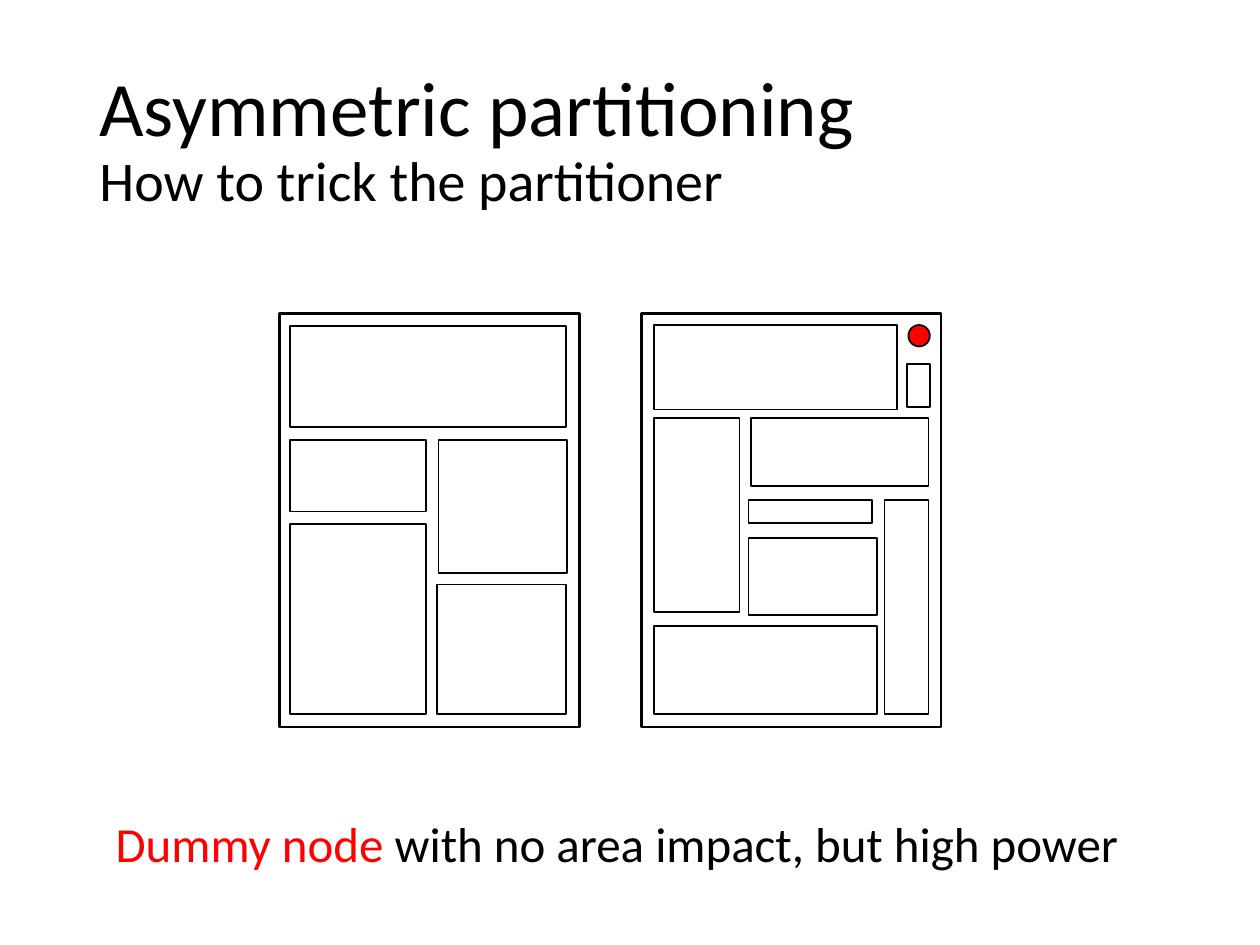
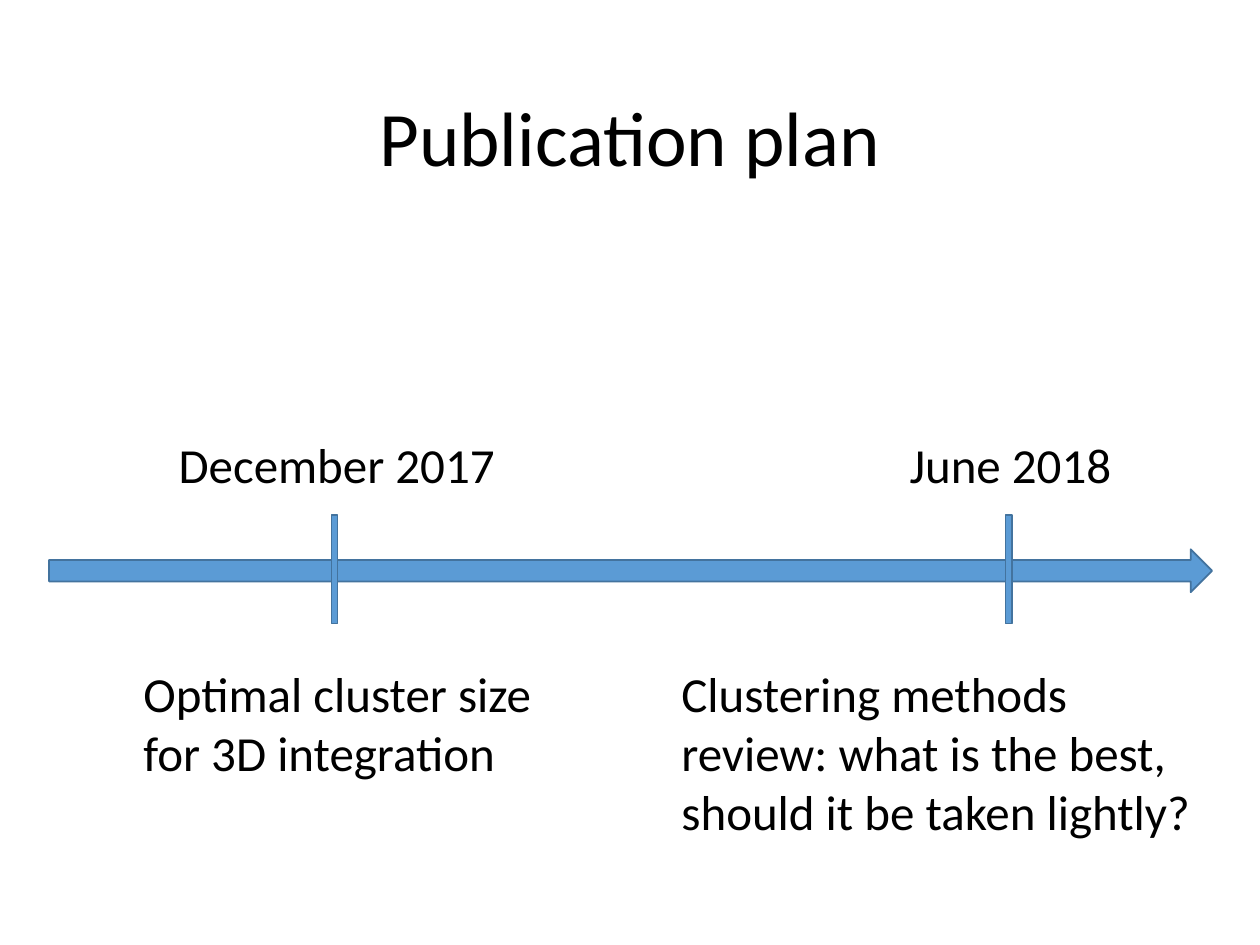
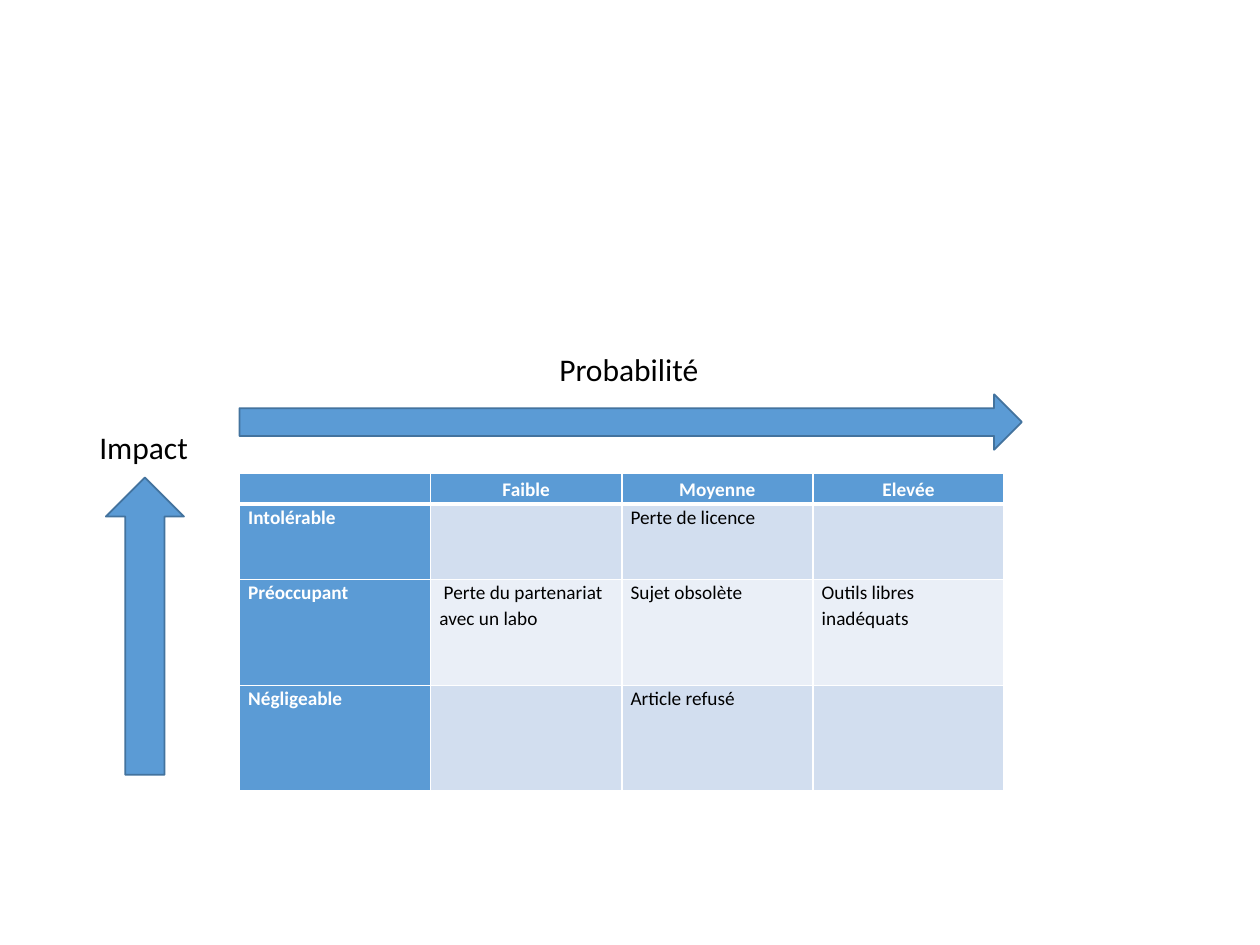
from lxml.etree import SubElement
from pptx import Presentation
from pptx.dml.color import RGBColor
from pptx.enum.shapes import MSO_SHAPE
from pptx.enum.text import MSO_ANCHOR, MSO_AUTO_SIZE, PP_ALIGN
from pptx.oxml.ns import qn
from pptx.util import Inches, Pt

FONT = "Calibri"
BLACK, WHITE, RED = "000000", "FFFFFF", "FF0000"
BLUE, BLUE_EDGE = "5B9BD5", "43739E"
BAND_DARK, BAND_LIGHT = "D2DEEF", "EAEFF7"


def color(value):
    return RGBColor.from_string(value)


def write_paragraph(paragraph, text, size=28, fill=BLACK, bold=False,
                    align=PP_ALIGN.LEFT, spacing=None):
    """Add text to a paragraph; a final newline becomes a line break."""
    paragraph.alignment = align
    if spacing:
        paragraph.line_spacing = spacing
    run = paragraph.add_run()
    run.text = text.rstrip("\n")
    run.font.name = FONT
    run.font.size = Pt(size)
    run.font.bold = bold
    run.font.color.rgb = color(fill)
    if text.endswith("\n"):
        paragraph.add_line_break()


class Deck:
    def __init__(self):
        self.presentation = Presentation()
        self.presentation.slide_width = Inches(10)
        self.presentation.slide_height = Inches(7.5)
        self.slide = None

    def new_slide(self):
        self.slide = self.presentation.slides.add_slide(self.presentation.slide_layouts[6])

    def text_frame(self, box, wrap=True):
        frame = self.slide.shapes.add_textbox(*map(Inches, box)).text_frame
        frame.word_wrap = wrap
        return frame

    def title(self, *parts, align=PP_ALIGN.LEFT):
        frame = self.text_frame((0.69, 0.4, 8.62, 1.45))
        frame.vertical_anchor = MSO_ANCHOR.MIDDLE
        for text, size in parts:
            write_paragraph(frame.paragraphs[0], text, size=size, align=align, spacing=0.9)

    def label(self, box, *lines, wrap=False, **style):
        """Each line is a list of (text, colour) parts, or a plain string."""
        frame = self.text_frame(box, wrap)
        frame.auto_size = MSO_AUTO_SIZE.SHAPE_TO_FIT_TEXT
        for index, line in enumerate(lines):
            paragraph = frame.add_paragraph() if index else frame.paragraphs[0]
            parts = [(line, BLACK)] if isinstance(line, str) else line
            for text, fill in parts:
                write_paragraph(paragraph, text, fill=fill, **style)

    def shape(self, kind, box, fill=BLUE, line=BLUE_EDGE, width=1):
        shape = self.slide.shapes.add_shape(kind, *map(Inches, box))
        shape.shadow.inherit = False
        if fill:
            shape.fill.solid()
            shape.fill.fore_color.rgb = color(fill)
        else:
            shape.fill.background()
        shape.line.color.rgb = color(line)
        shape.line.width = Pt(width)

    def outline(self, box, width=1):
        self.shape(MSO_SHAPE.RECTANGLE, box, fill=None, line=BLACK, width=width)

    def table(self, box, heights, rows):
        table = self.slide.shapes.add_table(len(rows), len(rows[0]), *map(Inches, box)).table
        for row, height in zip(table.rows, heights):
            row.height = Inches(height)
        for r, texts in enumerate(rows):
            for c, text in enumerate(texts):
                self.cell(table.cell(r, c), text, r, c)

    def cell(self, cell, text, r, c):
        heading = r == 0 or c == 0
        cell.margin_left = cell.margin_right = Inches(0.07)
        cell.margin_top = cell.margin_bottom = 0
        cell.vertical_anchor = MSO_ANCHOR.TOP if r else MSO_ANCHOR.MIDDLE
        # Borders: a thick rule lies between the header and the body
        widths = {"L": 1, "R": 1, "T": 3 if r == 1 else 1, "B": 1 if r else 3}
        properties = cell._tc.get_or_add_tcPr()
        for side, width in widths.items():
            border = SubElement(properties, qn(f"a:ln{side}"), w=str(Pt(width)))
            SubElement(SubElement(border, qn("a:solidFill")), qn("a:srgbClr"), val=WHITE)
        cell.fill.solid()
        band = BAND_DARK if r % 2 else BAND_LIGHT
        cell.fill.fore_color.rgb = color(BLUE if heading else band)
        paragraph = cell.text_frame.paragraphs[0]
        if text:
            write_paragraph(paragraph, text, size=11, bold=heading, spacing=1.07,
                            fill=WHITE if heading else BLACK,
                            align=PP_ALIGN.LEFT if r else PP_ALIGN.CENTER)
        else:
            SubElement(paragraph._p, qn("a:endParaRPr"), sz="1100")


def partitioning_slide(deck):
    deck.new_slide()
    deck.title(("Asymmetric partitioning\n", 44), ("How to trick the partitioner", 32))
    deck.label((0.82, 6.41, 8.36, 0.57),
               [("Dummy node ", RED), ("with no area impact, but high power", BLACK)],
               wrap=True)
    # Dies
    for left in (2.22, 5.09):
        deck.outline((left, 2.49, 2.38, 3.28), width=1.5)
    # Blocks on the left die, then on the right die
    left_blocks = [
        (2.3, 2.59, 2.19, 0.8), (2.3, 3.49, 1.08, 0.57), (3.48, 3.49, 1.02, 1.06),
        (2.3, 4.16, 1.08, 1.51), (3.47, 4.64, 1.02, 1.03),
    ]
    right_blocks = [
        (5.19, 2.58, 1.93, 0.67), (7.2, 2.89, 0.18, 0.34), (5.19, 3.32, 0.68, 1.54),
        (5.96, 3.32, 1.41, 0.54), (5.94, 3.97, 0.98, 0.18), (5.94, 4.27, 1.02, 0.61),
        (7.02, 3.97, 0.35, 1.7), (5.19, 4.97, 1.77, 0.7),
    ]
    for block in left_blocks + right_blocks:
        deck.outline(block)
    # Dummy node
    deck.shape(MSO_SHAPE.OVAL, (7.21, 2.58, 0.17, 0.17), fill=RED, line=BLACK)


def publication_slide(deck):
    deck.new_slide()
    deck.title(("Publication plan", 44), align=PP_ALIGN.CENTER)
    # Timeline with its dates
    deck.shape(MSO_SHAPE.RIGHT_ARROW, (0.39, 4.36, 9.23, 0.34))
    for tick, left, width, date in [(2.63, 1.32, 2.74, "December 2017"),
                                    (7.98, 7.12, 1.82, "June 2018")]:
        deck.shape(MSO_SHAPE.RECTANGLE, (tick, 4.09, 0.05, 0.86))
        deck.label((left, 3.4, width, 0.57), date)
    # Papers
    deck.label((1.04, 5.22, 3.31, 1.04), "Optimal cluster size", "for 3D integration")
    deck.label((5.31, 5.22, 4.32, 1.51),
               "Clustering methods review: what is the best, should it be taken lightly?",
               wrap=True)


def risk_slide(deck):
    deck.new_slide()
    deck.table((1.9, 3.76, 6.07, 2.54), (0.24, 0.6, 0.84, 0.84), [
        ("", "Faible", "Moyenne", "Elevée"),
        ("Intolérable", "", "Perte de licence", ""),
        ("Préoccupant", " Perte du partenariat avec un labo", "Sujet obsolète",
         "Outils libres inadéquats"),
        ("Négligeable", "", "Article refusé", ""),
    ])
    # Axes
    deck.shape(MSO_SHAPE.UP_ARROW, (0.84, 3.79, 0.62, 2.36))
    deck.label((0.69, 3.35, 0.91, 0.4), "Impact", size=18)
    deck.shape(MSO_SHAPE.RIGHT_ARROW, (1.9, 3.13, 6.21, 0.44))
    deck.label((4.34, 2.73, 1.32, 0.4), "Probabilité", size=18)


def main():
    deck = Deck()
    partitioning_slide(deck)
    publication_slide(deck)
    risk_slide(deck)
    deck.presentation.save("out.pptx")


if __name__ == "__main__":
    main()
